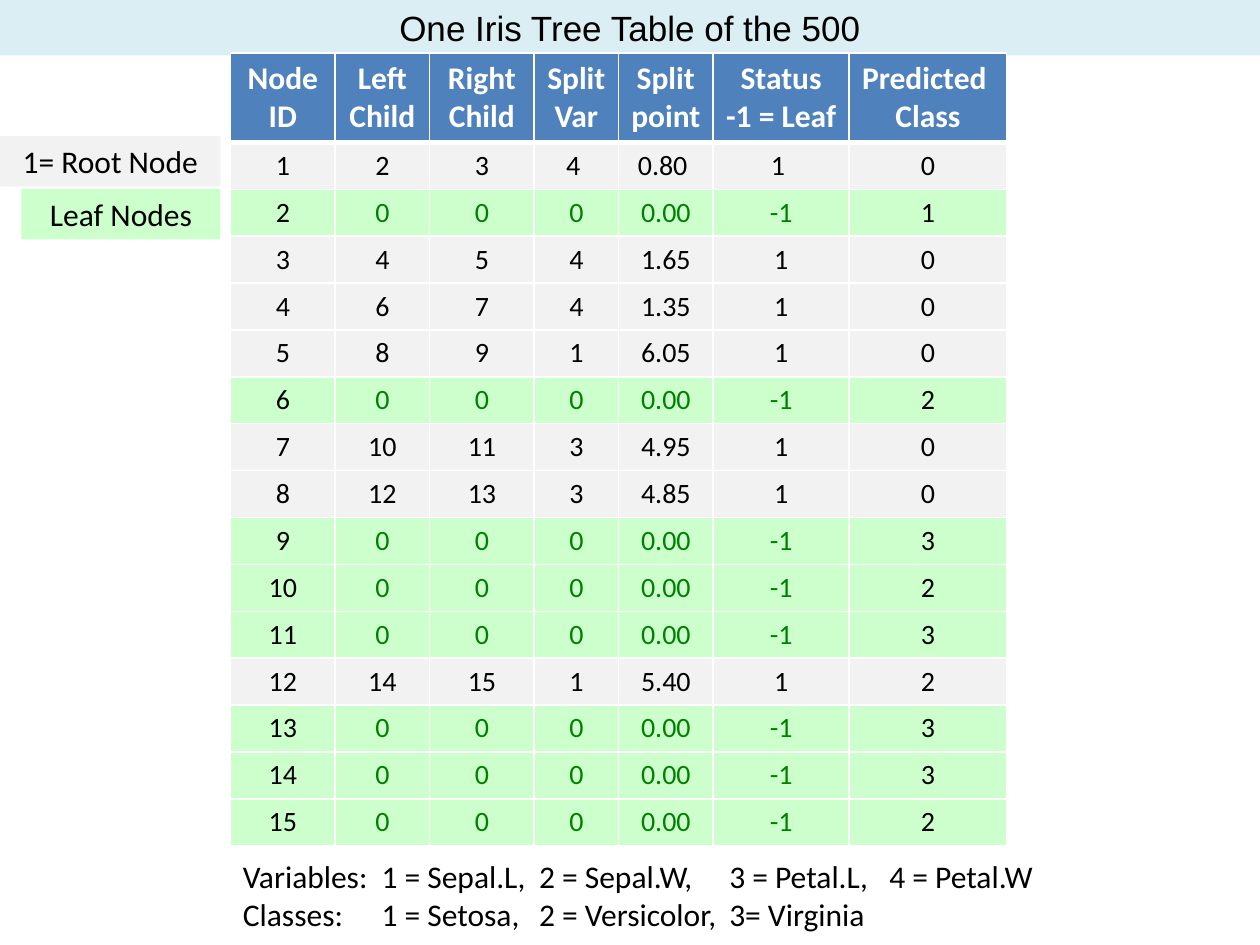
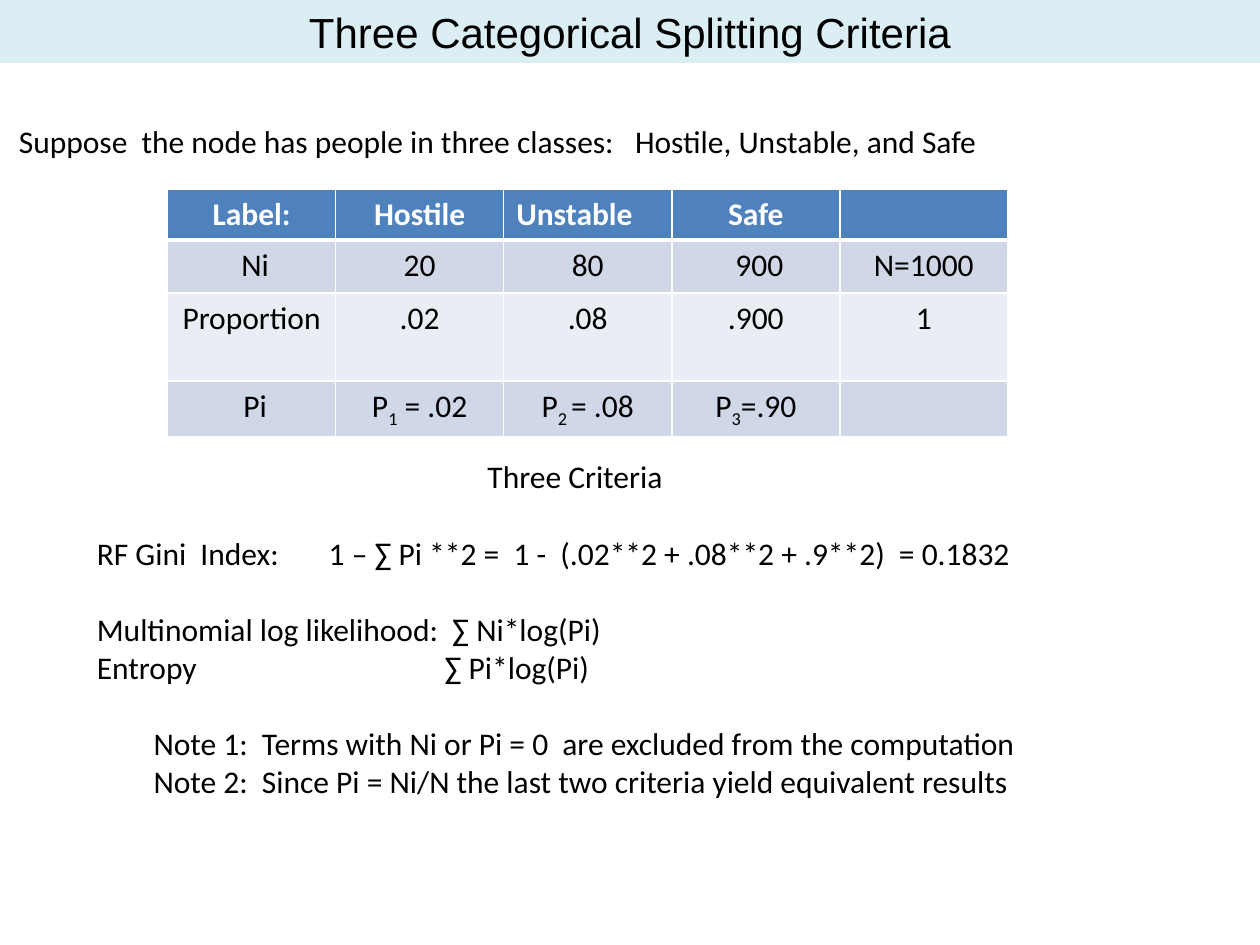
from lxml.etree import Element, SubElement
from pptx import Presentation
from pptx.dml.color import RGBColor
from pptx.enum.shapes import MSO_SHAPE as SHAPE
from pptx.enum.text import MSO_ANCHOR as ANCHOR, MSO_AUTO_SIZE as AUTO_SIZE, PP_ALIGN as ALIGN
from pptx.oxml.ns import qn
from pptx.util import Emu, Inches, Pt

BAND = RGBColor(0xDB, 0xEE, 0xF4)
HEADER = RGBColor(0x4F, 0x81, 0xBD)
SPLIT_FILL = RGBColor(0xF2, 0xF2, 0xF2)
LEAF_FILL = RGBColor(0xCC, 0xFF, 0xCC)
LEAF_TEXT = RGBColor(0x00, 0x80, 0x00)
ROW_DARK = RGBColor(0xD0, 0xD8, 0xE8)
ROW_LIGHT = RGBColor(0xE9, 0xED, 0xF4)
BLACK = RGBColor(0x00, 0x00, 0x00)
WHITE = RGBColor(0xFF, 0xFF, 0xFF)


def write(paragraph, text, size=18, color=BLACK, bold=False, align=ALIGN.CENTER, font="Calibri"):
    """Add a run; text between underscores becomes a subscript."""
    paragraph.alignment = align
    for position, part in enumerate(text.split("_")):
        if not part:
            continue
        run = paragraph.add_run()
        run.text = part
        run.font.name, run.font.size, run.font.bold = font, Pt(size), bold
        run.font.color.rgb = color
        if position % 2:
            run.font._element.set("baseline", "-25000")


def add_text(slide, box, lines):
    """Add a text box; each line is (text, left indent, tab stops, space before)."""
    frame = slide.shapes.add_textbox(*map(Inches, box)).text_frame
    frame.word_wrap = True
    for number, (text, indent, tabs, space) in enumerate(lines):
        paragraph = frame.add_paragraph() if number else frame.paragraphs[0]
        paragraph.space_before = Pt(space)
        properties = paragraph._p.get_or_add_pPr()
        # A first-line indent would cancel the tab stops
        if indent:
            properties.set("marL", str(Inches(indent)))
            properties.set("indent", "0")
        if tabs:
            stops = SubElement(properties, qn("a:tabLst"))
            for tab in tabs:
                SubElement(stops, qn("a:tab"), pos=str(Inches(tab)), algn="l")
        write(paragraph, text, align=ALIGN.LEFT)
    return frame


prs = Presentation()
prs.slide_width, prs.slide_height = Inches(10), Inches(7.5)

# Slides with their title bands
slides = []
for title, height, size in [
    ("One Iris Tree Table of the 500", 0.44, 20),
    ("Three Categorical Splitting Criteria", 0.5, 24),
]:
    slide = prs.slides.add_slide(prs.slide_layouts[5])
    band = slide.shapes.title
    band.left, band.top, band.width, band.height = Emu(0), Emu(0), prs.slide_width, Inches(height)
    band.fill.solid()
    band.fill.fore_color.rgb = BAND
    band.text_frame.auto_size = AUTO_SIZE.NONE
    band.text_frame.vertical_anchor = ANCHOR.MIDDLE
    write(band.text_frame.paragraphs[0], title, size, font="Arial")
    slides.append(slide)
tree_slide, criteria_slide = slides

# Tree table: split nodes are listed, every other node is a leaf
headings = ["Node\nID", "Left\nChild", "Right\nChild", "Split\nVar", "Split\npoint",
            "Status\n-1 = Leaf", "Predicted \nClass"]
splits = {
    1: ("2", "3", "4 ", "0.80 ", "1 "),
    3: ("4", "5", "4", "1.65", "1"),
    4: ("6", "7", "4", "1.35", "1"),
    5: ("8", "9", "1", "6.05", "1"),
    7: ("10", "11", "3", "4.95", "1"),
    8: ("12", "13", "3", "4.85", "1"),
    12: ("14", "15", "1", "5.40", "1"),
}
leaf = ("0", "0", "0", "0.00", "-1")
predicted = "010002003232332"
tree = tree_slide.shapes.add_table(
    len(predicted) + 1, len(headings), Inches(1.83), Inches(0.42), Inches(6.17), Inches(6.2)).table
for column, width in zip(tree.columns, [0.83, 0.75, 0.83, 0.67, 0.75, 1.08, 1.25]):
    column.width = Inches(width)
for number, row in enumerate(tree.rows):
    row.height = Inches(0.35 if number else 0.67)

for cell, heading in zip(tree.rows[0].cells, headings):
    cell.fill.solid()
    cell.fill.fore_color.rgb = HEADER
    first, second = heading.split("\n")
    write(cell.text_frame.paragraphs[0], first, color=WHITE, bold=True)
    write(cell.text_frame.add_paragraph(), second, color=WHITE, bold=True)
for node, outcome in enumerate(predicted, start=1):
    is_leaf = node not in splits
    values = [str(node), *splits.get(node, leaf), outcome]
    for col, value in enumerate(values):
        cell = tree.cell(node, col)
        cell.fill.solid()
        cell.fill.fore_color.rgb = LEAF_FILL if is_leaf else SPLIT_FILL
        inner = 0 < col < len(values) - 1
        write(cell.text_frame.paragraphs[0], value, 16, LEAF_TEXT if is_leaf and inner else BLACK)

# Key to variables, classes and row colours
key_tabs = [1.1, 2.35, 3.86, 5.13]
add_text(tree_slide, (1.83, 6.75, 7, 0.71), [
    ("Variables:\t1 = Sepal.L,\t2 = Sepal.W,\t3 = Petal.L,\t4 = Petal.W", 0, key_tabs, 0),
    ("Classes:\t1 = Setosa,\t2 = Versicolor,\t3= Virginia", 0, key_tabs, 0),
])
for text, left, top, fill in [("Leaf Nodes", 0.17, 1.5, LEAF_FILL),
                              ("1= Root Node", 0, 1.08, SPLIT_FILL)]:
    label = tree_slide.shapes.add_shape(
        SHAPE.RECTANGLE, Inches(left), Inches(top), Inches(1.75 - left), Inches(0.4))
    label.shadow.inherit = False
    label.fill.solid()
    label.fill.fore_color.rgb = fill
    label.line.fill.background()
    write(label.text_frame.paragraphs[0], text)

# Class counts and proportions
class_rows = [
    (0.4, HEADER, ["Label:", "Hostile", "Unstable", "Safe", ""]),
    (0.42, ROW_DARK, [" Ni", "20", "80", " 900", "N=1000"]),
    (0.7, ROW_LIGHT, ["Proportion", ".02", ".08", ".900", "1"]),
    (0.43, ROW_DARK, [" Pi", "P_1_ = .02", "P_2 _= .08", "P_3_=.90", ""]),
]
classes = criteria_slide.shapes.add_table(
    4, 5, Inches(1.33), Inches(1.5), Inches(6.67), Inches(1.95)).table
for row, (height, fill, values) in zip(classes.rows, class_rows):
    row.height = Inches(height)
    is_header = fill == HEADER
    for cell, value in zip(row.cells, values):
        cell.fill.solid()
        cell.fill.fore_color.rgb = fill
        write(cell.text_frame.paragraphs[0], value, color=WHITE if is_header else BLACK,
              bold=is_header, align=ALIGN.LEFT if value == "Unstable" else ALIGN.CENTER)

# Heavy rule under both table headers
for table in (tree, classes):
    for cell in table.rows[0].cells:
        rule = Element(qn("a:lnB"), w=str(Pt(3)))
        SubElement(SubElement(rule, qn("a:solidFill")), qn("a:srgbClr"), val=str(WHITE))
        cell._tc.get_or_add_tcPr().insert(0, rule)

# Introduction and the three criteria
intro = add_text(criteria_slide, (0, 0.92, 10, 0.4), [
    ("Suppose  the node has people in three classes:\tHostile, Unstable, and Safe", 0, [4.89], 0),
])
intro.margin_left = Inches(0.15)
LINE = 22
add_text(criteria_slide, (0.67, 3.58, 8.92, 2.83), [
    ("Three Criteria", 3.1, [], 0),
    ("RF Gini  Index:\t1 – ∑ Pi **2 =  1 -  (.02**2 + .08**2 + .9**2)  = 0.1832", 0, [1.84], LINE),
    ("Multinomial log likelihood:\t∑ Ni*log(Pi)", 0, [2.82], LINE),
    ("Entropy\t∑ Pi*log(Pi)", 0, [2.76], 0),
    ("Note 1:  Terms with Ni or Pi = 0  are excluded from the computation", 0.45, [], LINE),
    ("Note 2:  Since Pi = Ni/N the last two criteria yield equivalent results", 0.45, [], 0),
])

prs.save("out.pptx")
